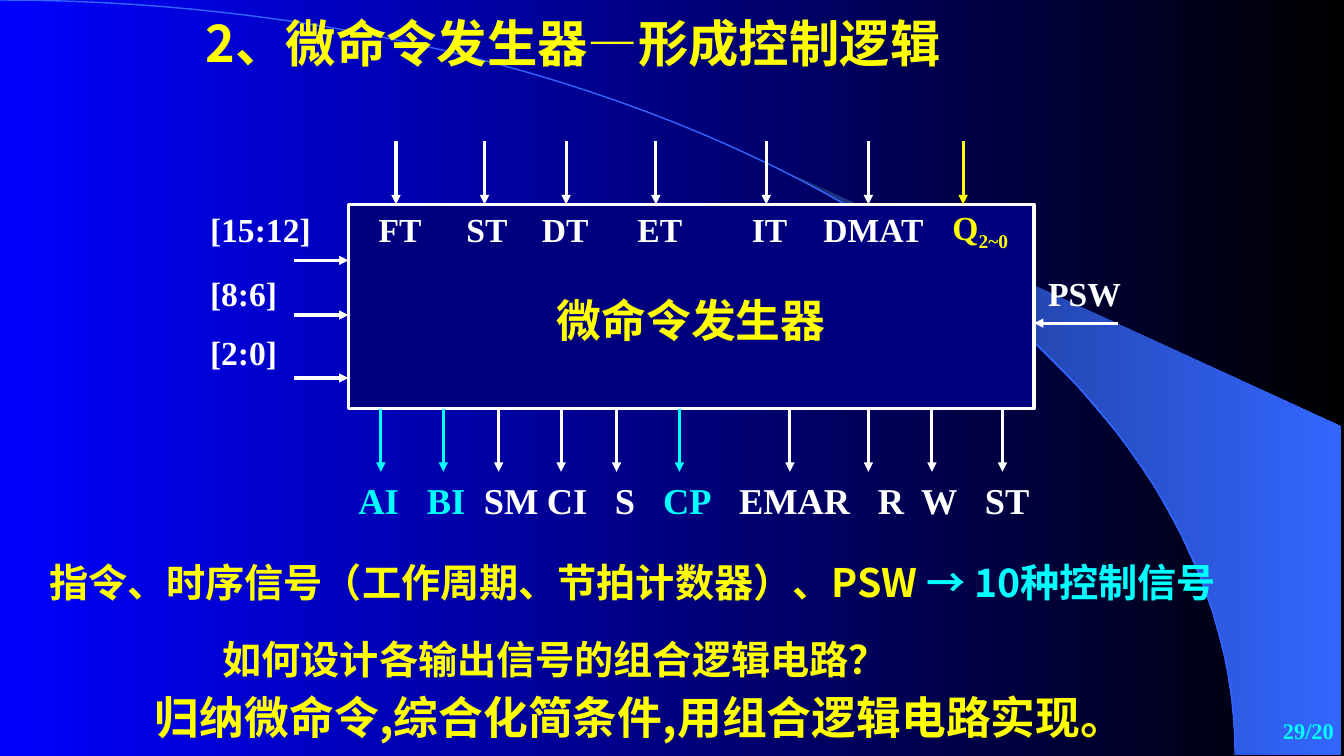
from math import cos, pi, sin

from lxml.etree import SubElement
from pptx import Presentation
from pptx.dml.color import RGBColor
from pptx.enum.shapes import MSO_CONNECTOR as Connector, MSO_SHAPE as Shape
from pptx.enum.text import MSO_ANCHOR as Anchor, PP_ALIGN as Align
from pptx.oxml.ns import qn
from pptx.util import Pt

HANS, SERIF = "Noto Sans CJK SC", "Times New Roman"
WHITE, YELLOW, CYAN = "FFFFFF", "FFFF00", "00FFFF"
NAVY, BLUE, DEEP_BLUE = "00007F", "3366FF", "182F76"

LEFT, TOP, RIGHT, BOTTOM = 249, 146, 739, 292  # sides of the generator block
ARROW = 45
TEXT_LEFT = LEFT + 7.2

# label, colour, arrow x, label centre x, label width
TIMING = [
    ("FT", WHITE, 283, 286, 50), ("ST", WHITE, 346.3, 348, 50),
    ("DT", WHITE, 404.6, 404, 50), ("ET", WHITE, 468.7, 471.6, 50),
    ("IT", WHITE, 547.6, 550, 50), ("DMAT", WHITE, 620.6, 624.2, 100),
    ("Q", YELLOW, 688.3, 700.6, 73),
]
# label, label top, arrow y
INSTRUCTION = [("[15:12]", 146, 186), ("[8:6]", 191.5, 225), ("[2:0]", 233.3, 270)]
# label, colour, arrow x, label left
CONTROL = [
    ("AI", CYAN, 272.2, TEXT_LEFT), ("BI", CYAN, 316.8, 305.3),
    ("SM", WHITE, 356.4, 346), ("CI", WHITE, 401, 391),
    ("S", WHITE, 440.6, 439.6), ("CP", CYAN, 485.6, 474),
    ("EMAR", WHITE, 564.5, 528.3), ("R", WHITE, 620.6, 627.6),
    ("W", WHITE, 666, 658.5), ("ST", WHITE, 716.4, 704),
]
WEDGE = [
    (883.4, 538.6), (958.3, 539.3), (958.3, 304.6), (565.9, 124.6), (599, 143.3),
    (626.4, 159.8), (657.4, 180), (687.6, 201.6), (731.5, 237.6), (770.4, 276.5),
    (799.2, 310.3), (823.7, 344.9), (843.1, 380.2), (857.5, 411.8), (866.9, 438.5),
    (876.2, 472.3), (880.6, 501.1),
]
ARC_WIDTH, ARC_HEIGHT, ARC_STEPS = 882.7, 539.3, 60


def color(code):
    return RGBColor.from_string(code)


def set_gradient(fill, start, end):
    fill.gradient()
    fill.gradient_angle = 0
    for stop, code, position in zip(fill.gradient_stops, (start, end), (0, 1)):
        stop.color.rgb = color(code)
        stop.position = position


def set_line(line, code, width=2.25):
    line.color.rgb = color(code)
    line.width = Pt(width)


def add_spans(para, spans, size, font):
    """Add (text, colour) spans to a paragraph."""
    for text, code in spans:
        span = para.add_run()
        span.text = text
        for name, value in {"name": font, "size": Pt(size), "bold": True}.items():
            setattr(span.font, name, value)
        span.font.color.rgb = color(code)
        SubElement(span._r.get_or_add_rPr(), qn("a:ea")).set("typeface", font)


def add_text(slide, area, spans, size, font=SERIF, align=Align.LEFT, anchor=Anchor.TOP):
    box = slide.shapes.add_textbox(*map(Pt, area))
    frame = box.text_frame
    frame.word_wrap = True
    frame.vertical_anchor = anchor
    para = frame.paragraphs[0]
    para.alignment = align
    add_spans(para, spans, size, font)
    return para


def add_arrow(slide, start, end, code=WHITE):
    arrow = slide.shapes.add_connector(Connector.STRAIGHT, *map(Pt, start + end))
    set_line(arrow.line, code)
    SubElement(arrow.line._get_or_add_ln(), qn("a:tailEnd")).set("type", "triangle")
    SubElement(arrow._element.spPr, qn("a:effectLst"))


def add_outline(slide, points, close):
    first, *rest = [(Pt(x), Pt(y)) for x, y in points]
    builder = slide.shapes.build_freeform(*first)
    builder.add_line_segments(rest, close=close)
    outline = builder.convert_to_shape()
    outline.shadow.inherit = False
    return outline


def add_backdrop(slide):
    set_gradient(slide.background.fill, "0000FF", "000000")
    wedge = add_outline(slide, WEDGE, True)
    set_gradient(wedge.fill, DEEP_BLUE, BLUE)
    wedge.line.fill.background()
    angles = [step * pi / 2 / ARC_STEPS for step in range(ARC_STEPS + 1)]
    arc = add_outline(
        slide, [(ARC_WIDTH * sin(a), ARC_HEIGHT * (1 - cos(a))) for a in angles], False)
    arc.fill.background()
    set_line(arc.line, BLUE, 1)


def add_generator(slide):
    block = slide.shapes.add_shape(
        Shape.RECTANGLE, *map(Pt, (LEFT, TOP, RIGHT - LEFT, BOTTOM - TOP)))
    block.shadow.inherit = False
    block.fill.solid()
    block.fill.fore_color.rgb = color(NAVY)
    set_line(block.line, WHITE)
    frame = block.text_frame
    frame.vertical_anchor = Anchor.MIDDLE
    frame.margin_top = Pt(22)
    para = frame.paragraphs[0]
    para.alignment = Align.CENTER
    add_spans(para, [("微命令发生器", YELLOW)], 32, HANS)


def add_inputs(slide):
    for label, top, y in INSTRUCTION:
        add_arrow(slide, (210, y), (LEFT, y))
        add_text(slide, (143, top, 95, 36), [(label, WHITE)], 24)
    for label, code, x, center, width in TIMING:
        add_arrow(slide, (x, TOP - ARROW), (x, TOP), code)
        top = TOP - 2 if label == "Q" else TOP
        para = add_text(slide, (center - width / 2, top, width, 36),
                        [(label, code)], 24, align=Align.CENTER)
    add_spans(para, [("2~0", YELLOW)], 24, SERIF)
    para.runs[-1]._r.get_or_add_rPr().set("baseline", "-25000")
    add_arrow(slide, (799, 230.8), (RIGHT, 230.8))
    add_text(slide, (742, 191.5, 75, 36), [("PSW", WHITE)], 24)


def add_outputs(slide):
    for _, code, x, _ in CONTROL:
        add_arrow(slide, (x, BOTTOM), (x, BOTTOM + ARROW), code)
    spans = [("\t" * (index > 0) + label, code)
             for index, (label, code, _, _) in enumerate(CONTROL)]
    para = add_text(slide, (LEFT, 337.7, 518, 40), spans, 26)
    tabs = SubElement(para._p.get_or_add_pPr(), qn("a:tabLst"))
    for *_, left in CONTROL[1:]:
        tab = SubElement(tabs, qn("a:tab"))
        tab.set("pos", str(Pt(left - TEXT_LEFT)))
        tab.set("algn", "l")


def add_statements(slide):
    title = add_text(slide, (131.8, 5, 555.8, 94),
                     [("2、微命令发生器—形成控制逻辑", YELLOW)], 36, HANS)
    title._p.get_or_add_pPr().set("indent", str(Pt(8)))
    add_text(slide, (28, 395.3, 890, 41),
             [("指令、时序信号（工作周期、节拍计数器）、PSW ", YELLOW),
              ("→ 10种控制信号", CYAN)], 28, HANS)
    add_text(slide, (152, 450, 500, 41),
             [("如何设计各输出信号的组合逻辑电路？", YELLOW)], 28, HANS)
    add_text(slide, (103.7, 489, 786, 46),
             [("归纳微命令,综合化简条件,用组合逻辑电路实现。", YELLOW)], 32, HANS)
    add_text(slide, (760.3, 504, 200, 36), [("29/20", CYAN)], 16,
             align=Align.RIGHT, anchor=Anchor.MIDDLE)


def main():
    deck = Presentation()
    deck.slide_width, deck.slide_height = Pt(960.5), Pt(540)
    slide = deck.slides.add_slide(deck.slide_layouts[6])
    add_backdrop(slide)
    add_generator(slide)
    add_inputs(slide)
    add_outputs(slide)
    add_statements(slide)
    deck.save("out.pptx")


if __name__ == "__main__":
    main()
